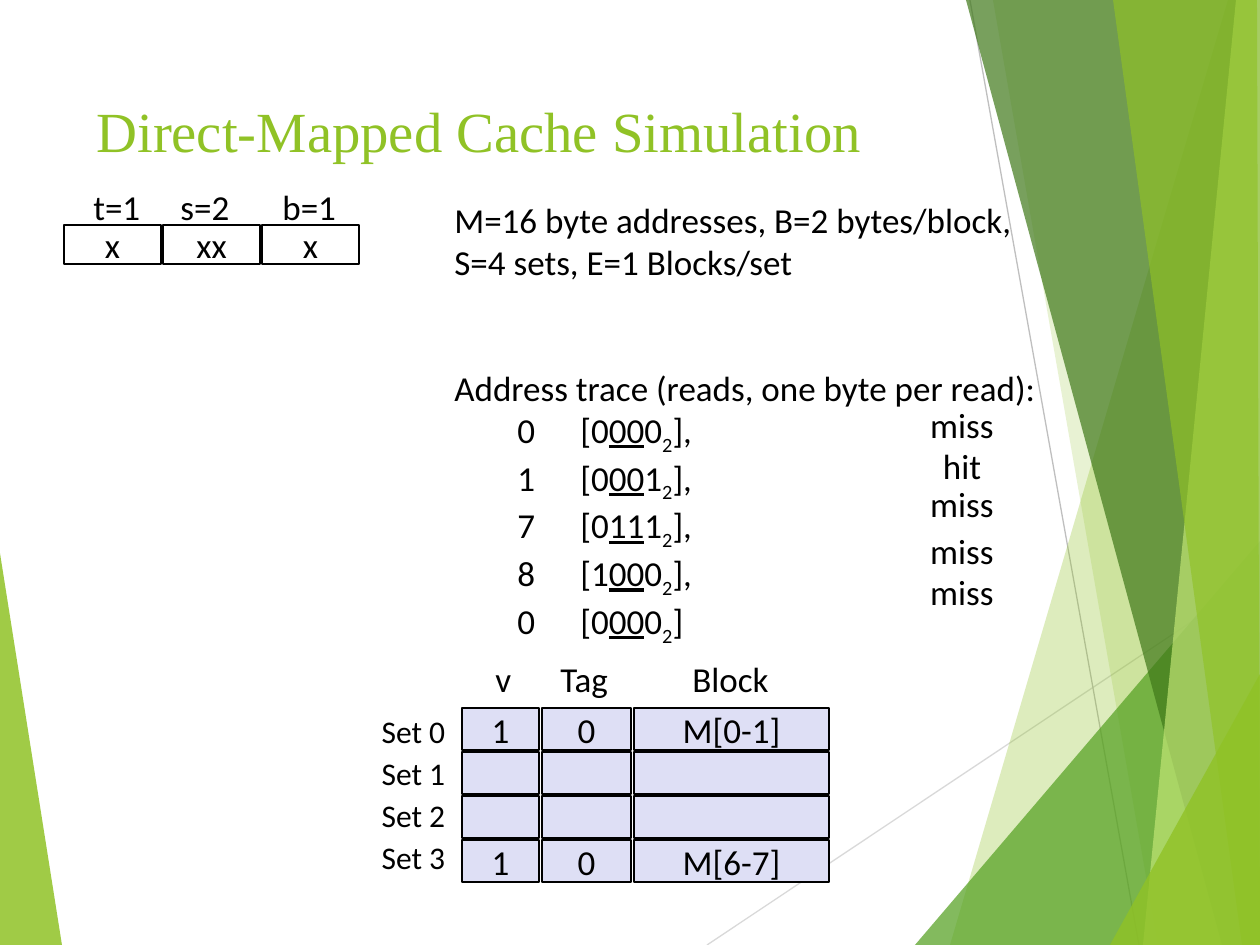
from lxml import etree
from pptx import Presentation
from pptx.dml.color import RGBColor
from pptx.enum.shapes import MSO_CONNECTOR, MSO_SHAPE
from pptx.enum.text import MSO_ANCHOR, PP_ALIGN
from pptx.oxml.ns import qn
from pptx.util import Pt

EMU_PER_PX = 914400 / 126
WIDTH, HEIGHT = 1260, 945
COLORS = {
    "lime": "90C226", "green": "54A021", "forest": "3F7819", "pale": "C0E474",
    "light_gray": "D9D9D9", "gray": "BFBFBF",
    "black": "000000", "white": "FFFFFF", "lavender": "DEDFF5",
}


def emu(px):
    return round(px * EMU_PER_PX)


class SlideBuilder:
    body_font = "Calibri"
    title_font = "Times New Roman"

    def __init__(self, slide):
        self.slide = slide
        self.shapes = slide.shapes

    def color(self, name):
        return RGBColor.from_string(COLORS[name])

    def style(self, paragraph, size=20, font=None, color="black", align=PP_ALIGN.LEFT):
        paragraph.alignment = align
        paragraph.font.size = Pt(size)
        paragraph.font.name = font or self.body_font
        paragraph.font.color.rgb = self.color(color)

    def facet(self, color, opacity, points):
        """Draw a translucent polygon of the background."""
        outline = self.shapes.build_freeform(*points[0], scale=EMU_PER_PX)
        outline.add_line_segments(points[1:], close=True)
        facet = outline.convert_to_shape()
        facet.shadow.inherit = False
        facet.line.fill.background()
        facet.fill.solid()
        facet.fill.fore_color.rgb = self.color(color)
        tint = facet.fill._xPr.find(qn("a:solidFill"))[0]
        etree.SubElement(tint, qn("a:alpha"), val=str(opacity * 1000))

    def line(self, color, *ends):
        line = self.shapes.add_connector(MSO_CONNECTOR.STRAIGHT, *map(emu, ends))
        line.line.color.rgb = self.color(color)
        line.line.width = Pt(0.75)
        etree.SubElement(line._element.spPr, qn("a:effectLst"))

    def text_frame(self, left, top, width, height, wrap=False):
        box = self.shapes.add_textbox(*map(emu, (left, top, width, height)))
        box.text_frame.word_wrap = wrap
        return box.text_frame

    def label(self, text, left, top, width, height, spacing=None, **style):
        paragraph = self.text_frame(left, top, width, height).paragraphs[0]
        paragraph.text = text
        self.style(paragraph, **style)
        if spacing:
            paragraph.line_spacing = spacing

    def cell(self, text, left, top, width, height, fill):
        cell = self.shapes.add_shape(
            MSO_SHAPE.RECTANGLE, *map(emu, (left, top, width, height)))
        cell.shadow.inherit = False
        cell.fill.solid()
        cell.fill.fore_color.rgb = self.color(fill)
        cell.line.color.rgb = self.color("black")
        cell.line.width = Pt(1)
        if text:
            frame = cell.text_frame
            frame.word_wrap = False
            frame.vertical_anchor = MSO_ANCHOR.MIDDLE
            frame.paragraphs[0].text = text
            self.style(frame.paragraphs[0], align=PP_ALIGN.CENTER)

    def trace(self, intro, reads, left, top, width, height):
        """Write the intro lines, then each read with its set bits underlined."""
        frame = self.text_frame(left, top, width, height, wrap=True)
        for index, (text, gap) in enumerate(intro):
            paragraph = frame.add_paragraph() if index else frame.paragraphs[0]
            paragraph.text = text
            self.style(paragraph)
            if gap:
                paragraph.space_before = Pt(gap)
        for address, tag, set_bits, offset, ending in reads:
            paragraph = frame.add_paragraph()
            self.style(paragraph)
            parts = (f"\t{address}\t[{tag}", set_bits, offset, "2", ending)
            runs = [paragraph.add_run() for _ in parts]
            for run, part in zip(runs, parts):
                run.text = part
            runs[1].font.underline = True
            runs[3]._r.get_or_add_rPr().set("baseline", "-25000")


def draw_background(builder):
    corner = (WIDTH, HEIGHT)
    top_right = (WIDTH, 0)
    builder.facet("lime", 85, [(0, 553), (62, HEIGHT), (0, HEIGHT)])
    builder.line("light_gray", 707, HEIGHT, WIDTH, 576)
    builder.line("gray", 970, 0, 1139, HEIGHT)
    for color, opacity, points in (
        ("lime", 30, [(1228, 0), (950, HEIGHT), corner, top_right]),
        ("lime", 20, [(993, 0), (1158, HEIGHT), corner, top_right]),
        ("green", 72, [(915, HEIGHT), (WIDTH, 541), corner]),
        ("forest", 70, [(966, 0), (1222, HEIGHT), corner, top_right]),
        ("pale", 70, [(1236, 0), (1143, HEIGHT), corner, top_right]),
        ("lime", 65, [(1113, 0), (1242, HEIGHT), corner, (1257, 0)]),
        ("lime", 80, [(1110, HEIGHT), (WIDTH, 674), corner]),
    ):
        builder.facet(color, opacity, points)


def draw_address_fields(builder):
    fields = (("t=1", 81, 73, "x"), ("s=2", 168, 74, "xx"), ("b=1", 270, 79, "x"))
    for column, (bits, left, width, pattern) in enumerate(fields):
        builder.cell(pattern, 64 + 99 * column, 225, 97, 39, "white")
        builder.label(bits, left, 179, width, 54)


def draw_trace(builder):
    intro = (
        ("M=16 byte addresses, B=2 bytes/block,", 0),
        ("S=4 sets, E=1 Blocks/set", 0),
        ("Address trace (reads, one byte per read):", 48),
    )
    reads = (
        (0, "0", "00", "0", "],"),
        (1, "0", "00", "1", "],"),
        (7, "0", "11", "1", "],"),
        (8, "1", "00", "0", "],"),
        (0, "0", "00", "0", "]"),
    )
    builder.trace(intro, reads, 442, 192, 818, 436)
    outcomes = (("miss", 410), ("hit", 451), ("miss", 489), ("miss", 536), ("miss", 577))
    for outcome, top in outcomes:
        builder.label(outcome, 917, top, 90, 43, spacing=0.65, align=PP_ALIGN.CENTER)


def draw_cache(builder):
    for heading, left, width in (("v", 483, 43), ("Tag", 548, 73), ("Block", 680, 102)):
        builder.label(heading, left, 651, width, 54)
    columns = ((462, 77), (542, 89), (634, 195))
    empty = ("", "", "")
    cache_sets = (("1", "0", "M[0-1]"), empty, empty, ("1", "0", "M[6-7]"))
    for number, contents in enumerate(cache_sets):
        for content, (left, width) in zip(contents, columns):
            builder.cell(content, left, 708 + 44 * number, width, 42, "lavender")
        builder.label(f"Set {number}", 368, 706 + 42 * number, 91, 50,
                      size=18, align=PP_ALIGN.CENTER)


def main():
    deck = Presentation()
    deck.slide_width, deck.slide_height = emu(WIDTH), emu(HEIGHT)
    builder = SlideBuilder(deck.slides.add_slide(deck.slide_layouts[6]))
    draw_background(builder)
    builder.label("Direct-Mapped Cache Simulation", 84, 90, 874, 97,
                  size=32.4, font=builder.title_font, color="lime")
    draw_address_fields(builder)
    draw_trace(builder)
    draw_cache(builder)
    deck.save("out.pptx")


if __name__ == "__main__":
    main()
